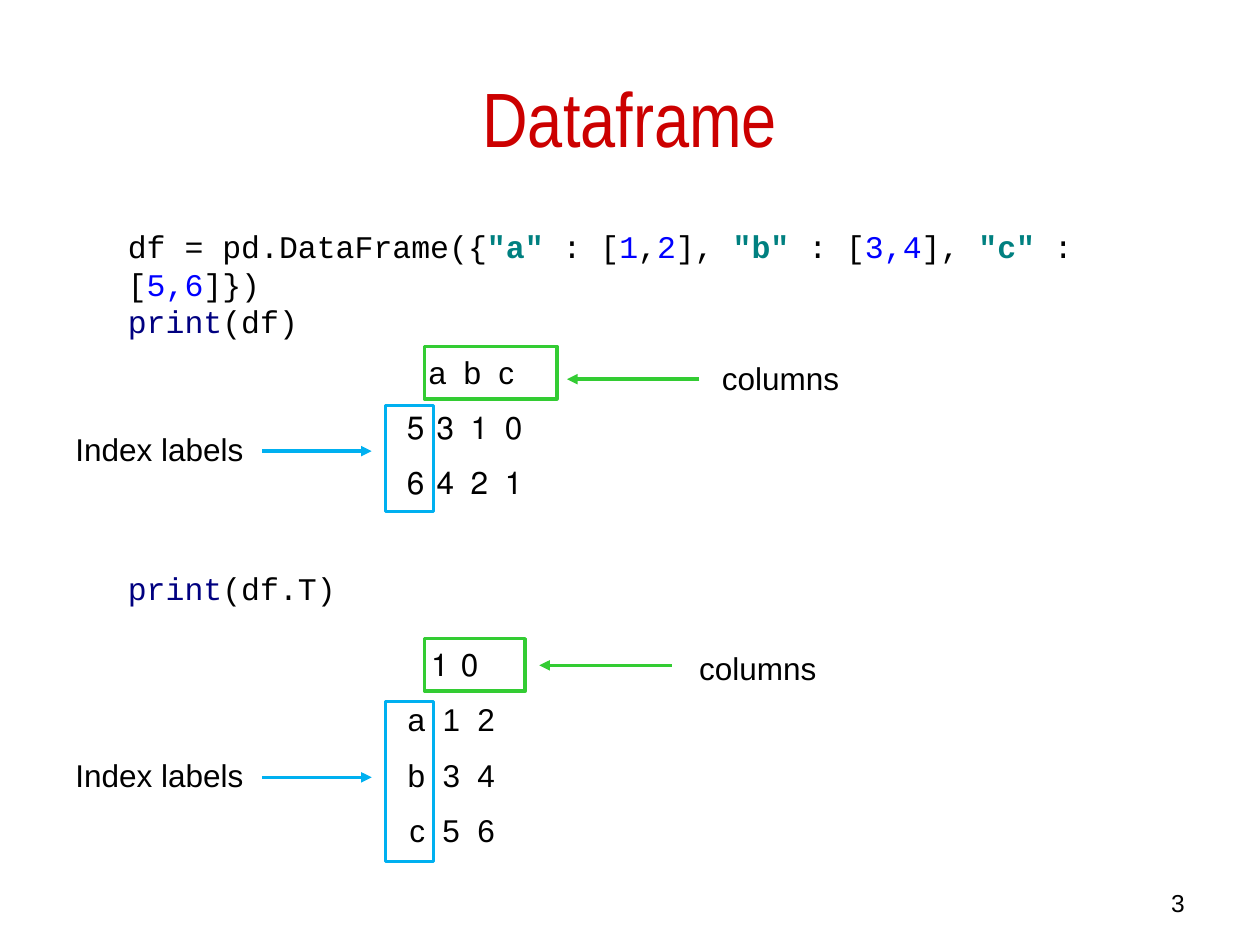
from dataclasses import dataclass

import pptx
import pptx.dml.color
import pptx.enum.shapes
import pptx.enum.text
import pptx.oxml.ns
import pptx.util
from lxml import etree

Pt = pptx.util.Pt
ALIGN = pptx.enum.text.PP_ALIGN
ANCHOR = pptx.enum.text.MSO_ANCHOR


@dataclass(frozen=True)
class Theme:
    black: str = "000000"
    title: str = "CC0000"
    string: str = "008080"
    number: str = "0000FF"
    keyword: str = "000080"
    columns: str = "33CC33"
    index: str = "00B0F0"
    sans: str = "Arial"
    narrow: str = "Arial Narrow"
    mono: str = "Courier New"
    title_size: float = 44
    body_size: float = 18
    number_size: float = 14
    line_width: float = 2


THEME = Theme()


def rgb(color):
    return pptx.dml.color.RGBColor.from_string(color)


def add_text(paragraph, text, font=THEME.sans, size=THEME.body_size,
             color=THEME.black, bold=False, spacing=0):
    """Add one formatted run; spacing is extra room between letters."""
    run = paragraph.add_run()
    run.text = text
    run.font.name = font
    run.font.size = Pt(size)
    run.font.bold = bold
    run.font.color.rgb = rgb(color)
    if spacing:
        run.font._element.set("spc", str(round(spacing * 100)))


def add_box(slide, left, top, width, height):
    """Add a wrapping text box and return its text frame."""
    box = slide.shapes.add_textbox(Pt(left), Pt(top), Pt(width), Pt(height))
    box.text_frame.word_wrap = True
    return box.text_frame


def add_label(slide, text, left, top):
    frame = add_box(slide, left, top, 114, 29)
    add_text(frame.paragraphs[0], text)


def add_code(slide, lines, left, top, width, height):
    """Add code; each line is a list of (text, color) pieces."""
    paragraph = add_box(slide, left, top, width, height).paragraphs[0]
    for number, line in enumerate(lines):
        if number:
            paragraph.add_line_break()
        for text, color in line:
            add_text(paragraph, text, font=THEME.mono, color=color,
                     bold=color == THEME.string)


def add_output(slide, rows, left, top, width, height):
    """Add printed rows, set right to left with widely spaced values."""
    frame = add_box(slide, left, top, width, height)
    for number, row in enumerate(rows):
        paragraph = frame.add_paragraph() if number else frame.paragraphs[0]
        paragraph.alignment = ALIGN.RIGHT
        paragraph._p.get_or_add_pPr().set("rtl", "1")
        if number:
            paragraph.space_before = Pt(10)
        add_text(paragraph, row, spacing=2.5)


def add_frame(slide, color, left, top, width, height):
    """Add an unfilled rectangle around part of the output."""
    shape = slide.shapes.add_shape(
        pptx.enum.shapes.MSO_SHAPE.RECTANGLE,
        Pt(left), Pt(top), Pt(width), Pt(height))
    shape.shadow.inherit = False
    shape.fill.background()
    shape.line.color.rgb = rgb(color)
    shape.line.width = Pt(THEME.line_width)


def add_arrow(slide, color, start, end, y):
    """Add a level arrow pointing at end."""
    arrow = slide.shapes.add_connector(
        pptx.enum.shapes.MSO_CONNECTOR.STRAIGHT,
        Pt(start), Pt(y), Pt(end), Pt(y))
    arrow.line.color.rgb = rgb(color)
    arrow.line.width = Pt(THEME.line_width)
    qn = pptx.oxml.ns.qn
    etree.SubElement(arrow.line._get_or_add_ln(), qn("a:tailEnd"),
                     type="triangle")
    etree.SubElement(arrow._element.spPr, qn("a:effectLst"))


def add_title(slide, text):
    title = slide.shapes.title
    title.left, title.top, title.width, title.height = (
        Pt(36), Pt(21.6), Pt(648), Pt(90))
    title.text_frame.vertical_anchor = ANCHOR.MIDDLE
    paragraph = title.text_frame.paragraphs[0]
    paragraph.alignment = ALIGN.CENTER
    add_text(paragraph, text, font=THEME.narrow, size=THEME.title_size,
             color=THEME.title)


def add_page_number(slide, text):
    paragraph = add_box(slide, 516, 504, 168, 18).paragraphs[0]
    paragraph.alignment = ALIGN.RIGHT
    add_text(paragraph, text, size=THEME.number_size)


def main():
    presentation = pptx.Presentation()
    presentation.slide_width, presentation.slide_height = Pt(720), Pt(540)
    slide = presentation.slides.add_slide(presentation.slide_layouts[5])
    add_title(slide, "Dataframe")
    add_page_number(slide, "3")

    # Code
    plain, string, number, keyword = (
        THEME.black, THEME.string, THEME.number, THEME.keyword)
    create = [
        ("df = pd.DataFrame({", plain), ('"a" ', string), (": [", plain),
        ("1", number), (",", plain), ("2", number), ("], ", plain),
        ('"b" ', string), (": [", plain), ("3,4", number), ("], ", plain),
        ('"c" ', string), (": [", plain), ("5,6", number), ("]})", plain)]
    show = [("print", keyword), ("(df)", plain)]
    show_transposed = [("print", keyword), ("(df.T)", plain)]
    add_code(slide, [create, show], 66, 126, 606, 51)
    add_code(slide, [show_transposed], 66, 321.6, 468, 30)

    # Printed output
    add_output(slide, [" a b c", "0 1 3 5", "1 2 4 6"], 218, 198, 90, 94)
    add_output(slide, [" 0 1", "a 1 2", "b 3 4", "c 5 6"],
               218, 365, 72, 127.5)

    # Column headings: frame top and width, arrow, label
    for top, width, start, arrow_y, label_left, label_top in (
            (198, 75.6, 399.6, 216.7, 405.5, 201.6),
            (365, 57.6, 383.8, 380.2, 392.4, 367.2)):
        add_frame(slide, THEME.columns, 242.6, top, width, 30)
        add_arrow(slide, THEME.columns, start, start - 75.6, arrow_y)
        add_label(slide, "columns", label_left, label_top)

    # Index labels: frame top and height, arrow, label
    for top, height, arrow_y, label_top in (
            (231.8, 60.5, 257.8, 242), (401, 91.4, 444.2, 428.4)):
        add_frame(slide, THEME.index, 220.3, top, 27.4, height)
        add_arrow(slide, THEME.index, 149.8, 212.4, arrow_y)
        add_label(slide, "Index labels", 36, label_top)

    presentation.save("out.pptx")


if __name__ == "__main__":
    main()
